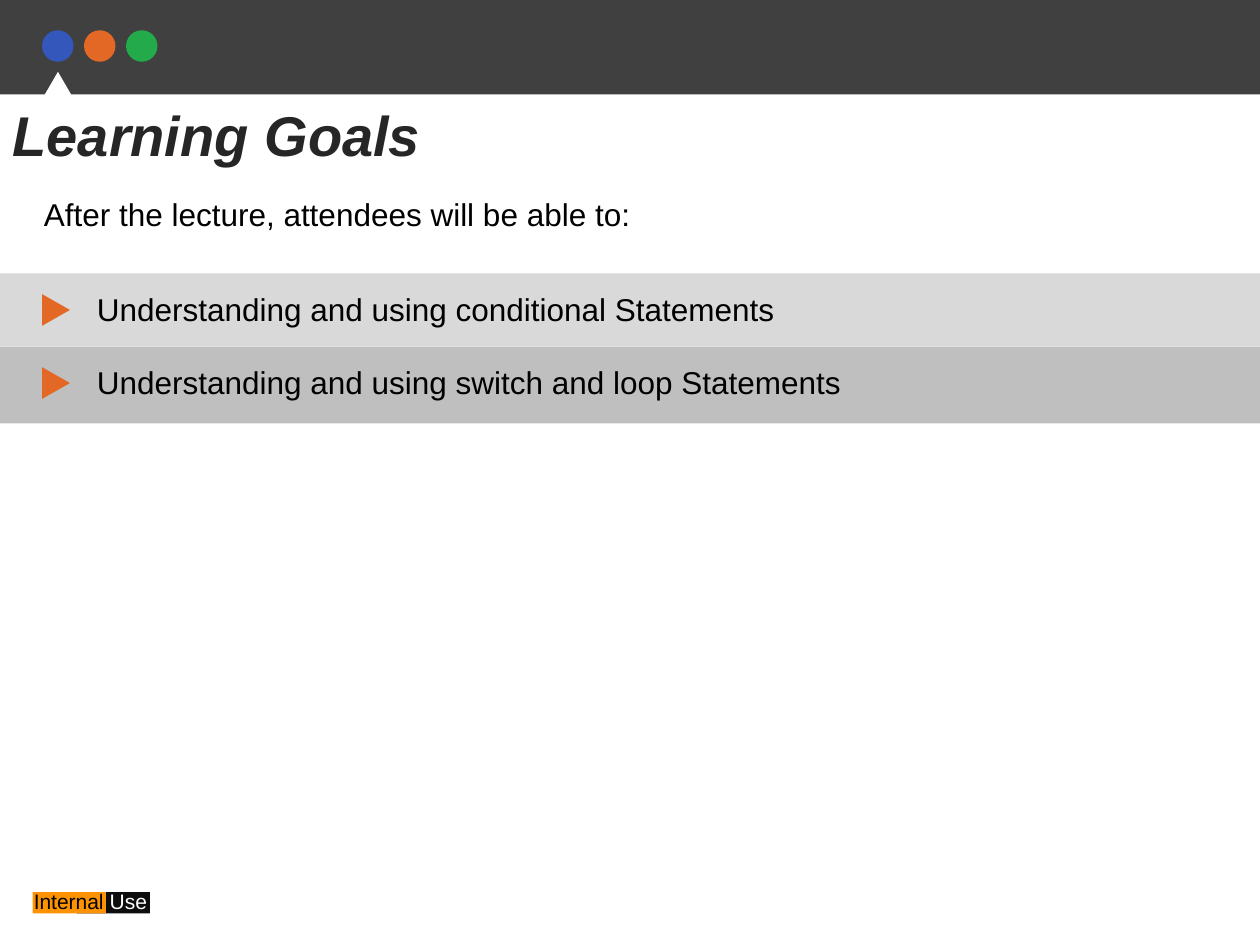
import pptx
import pptx.dml.color
import pptx.enum.shapes
import pptx.enum.text
import pptx.util

Inches = pptx.util.Inches
Color = pptx.dml.color.RGBColor
Kind = pptx.enum.shapes.MSO_SHAPE
Text = pptx.enum.text

BLACK = Color(0x00, 0x00, 0x00)
WHITE = Color(0xFF, 0xFF, 0xFF)
INK = Color(0x26, 0x26, 0x26)
HEAD = Color(0x40, 0x40, 0x40)
BLUE = Color(0x33, 0x57, 0xBB)
ORANGE = Color(0xE4, 0x68, 0x25)
GREEN = Color(0x23, 0xAA, 0x4A)
AMBER = Color(0xFD, 0x92, 0x03)
COAL = Color(0x0D, 0x0D, 0x0D)
LIGHT = Color(0xD9, 0xD9, 0xD9)
GREY = Color(0xBF, 0xBF, 0xBF)

FONT = "Arial"
GOALS = [
    ("Understanding and using conditional Statements", LIGHT, 2.17, 0.58),
    ("Understanding and using switch and loop Statements", GREY, 2.75, 0.61),
]


def place(item, box):
    item.left, item.top, item.width, item.height = map(Inches, box)


def add_form(shapes, kind, box, color, turn=0):
    form = shapes.add_shape(kind, *map(Inches, box))
    form.shadow.inherit = False
    form.fill.solid()
    form.fill.fore_color.rgb = color
    form.line.fill.background()
    form.rotation = turn


def add_run(para, text, size, color, bold=False, slant=False):
    run = para.add_run()
    run.text = text
    font = run.font
    font.name, font.size = FONT, pptx.util.Pt(size)
    font.bold, font.italic = bold, slant
    font.color.rgb = color


def add_text(shapes, box, size, *runs):
    """Add a wrapped line made of (text, color) runs."""
    frame = shapes.add_textbox(*map(Inches, box)).text_frame
    frame.word_wrap = True
    for text, color in runs:
        add_run(frame.paragraphs[0], text, size, color)


def add_header(shapes):
    add_form(shapes, Kind.RECTANGLE, (0, 0, 10, 0.75), HEAD)
    for i, color in enumerate((BLUE, ORANGE, GREEN)):
        add_form(shapes, Kind.OVAL, ((i + 1) / 3, 0.24, 0.25, 0.25), color)
    add_form(shapes, Kind.ISOSCELES_TRIANGLE, (0.17, 0.57, 0.58, 0.5), WHITE)


def add_label(shapes):
    parts = shapes.add_group_shape().shapes
    for left, color in ((0.61, COAL), (0.26, AMBER)):
        add_form(parts, Kind.RECTANGLE, (left, 7.08, 0.58, 0.17), color)
    add_text(parts, (0.17, 7, 1.5, 0.3), 12, ("Internal ", BLACK), ("Use", WHITE))


def set_title(shapes, text):
    """Fill the title and bring it in front of the header marker."""
    title = shapes.title
    place(title, (0, 0.75, 4.67, 0.64))
    frame = title.text_frame
    frame.auto_size = Text.MSO_AUTO_SIZE.NONE
    frame.vertical_anchor = Text.MSO_ANCHOR.TOP
    para = frame.paragraphs[0]
    para.alignment = Text.PP_ALIGN.LEFT
    add_run(para, text, 32, INK, bold=True, slant=True)
    title.element.getparent().append(title.element)


def add_goal(shapes, text, color, top, height):
    add_form(shapes, Kind.RECTANGLE, (0, top, 10, height), color)
    add_text(shapes, (0.67, top + 0.08, 8.92, 0.4), 18, (text, BLACK))
    add_form(shapes, Kind.ISOSCELES_TRIANGLE,
             (0.32, top + 0.18, 0.25, 0.22), ORANGE, turn=90)


def main():
    deck = pptx.Presentation()
    deck.slide_width, deck.slide_height = Inches(10), Inches(7.5)
    shapes = deck.slides.add_slide(deck.slide_layouts.get_by_name("Title Only")).shapes
    add_header(shapes)
    add_label(shapes)
    set_title(shapes, "Learning Goals")
    add_text(shapes, (0.25, 1.5, 6, 0.4), 18,
             ("After the lecture, attendees will be able to:", BLACK))
    for goal in GOALS:
        add_goal(shapes, *goal)
    deck.save("out.pptx")


if __name__ == "__main__":
    main()
